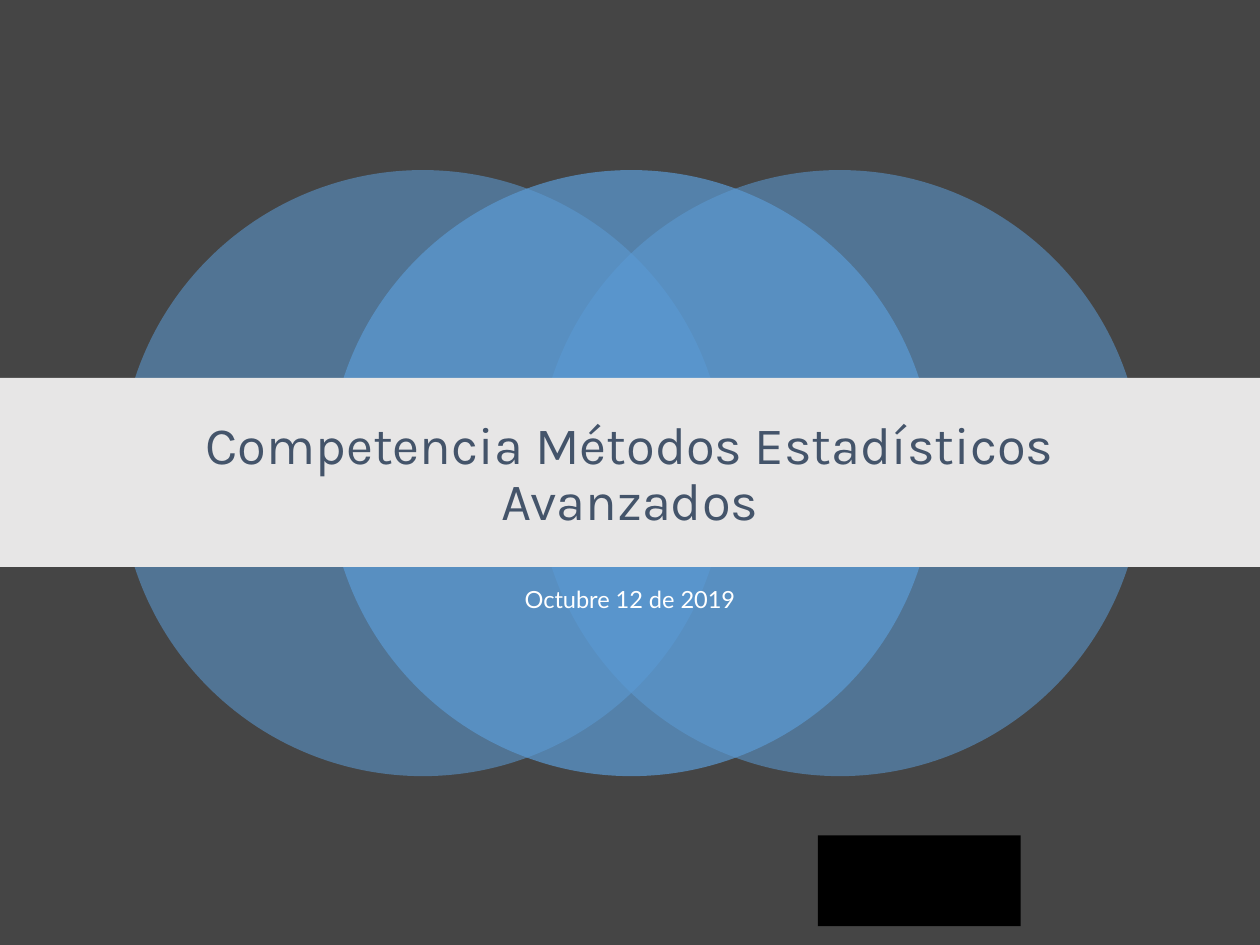
from pptx import Presentation
from pptx.dml.color import RGBColor
from pptx.enum.shapes import MSO_SHAPE
from pptx.enum.text import MSO_ANCHOR, PP_ALIGN
from pptx.oxml.ns import qn
from pptx.util import Inches, Pt
from lxml import etree


def color(value):
    return RGBColor.from_string(value)


def add_solid(slide, kind, left, top, width, height, fill, opacity=100):
    """Add a borderless shape; opacity is in percent."""
    shape = slide.shapes.add_shape(
        kind, Inches(left), Inches(top), Inches(width), Inches(height))
    shape.shadow.inherit = False
    shape.fill.solid()
    shape.fill.fore_color.rgb = color(fill)
    shape.line.fill.background()
    if opacity < 100:
        color_element = shape._element.spPr.find(".//" + qn("a:srgbClr"))
        etree.SubElement(color_element, qn("a:alpha"), val=str(opacity * 1000))
    return shape


def add_text(slide, left, top, width, height, text, font, size, fill,
             anchor=MSO_ANCHOR.TOP, space_before=0):
    box = slide.shapes.add_textbox(
        Inches(left), Inches(top), Inches(width), Inches(height))
    text_frame = box.text_frame
    text_frame.word_wrap = True
    text_frame.vertical_anchor = anchor
    text_frame.text = text
    paragraph = text_frame.paragraphs[0]
    paragraph.alignment = PP_ALIGN.CENTER
    paragraph.line_spacing = 0.9
    paragraph.space_before = Pt(space_before)
    run_font = paragraph.runs[0].font
    run_font.name = font
    run_font.size = Pt(size)
    run_font.color.rgb = color(fill)


def add_circles(slide, left, top, width, diameter):
    """Overlap three circles evenly across the width, the middle one in front."""
    step = (width - diameter) / 2
    for position, opacity in ((0, 55), (2, 55), (1, 70)):
        add_solid(slide, MSO_SHAPE.OVAL, left + position * step, top,
                  diameter, diameter, "5B9BD5", opacity)


def add_title_band(slide, left, top, width, height):
    margin = 1.25
    add_solid(slide, MSO_SHAPE.RECTANGLE, left, top, width, height, "E7E6E6")
    add_text(slide, left + margin, top + 0.21, width - 2 * margin, 1.13,
             "Competencia Métodos Estadísticos Avanzados",
             "Karla", 30, "44546A", anchor=MSO_ANCHOR.MIDDLE)


def main():
    presentation = Presentation()
    presentation.slide_width = Inches(10)
    presentation.slide_height = Inches(7.5)
    slide = presentation.slides.add_slide(presentation.slide_layouts[6])
    slide.background.fill.solid()
    slide.background.fill.fore_color.rgb = color("454545")

    add_solid(slide, MSO_SHAPE.RECTANGLE, 6.49, 6.63, 1.61, 0.72, "000000")
    add_circles(slide, 0.95, 1.35, 8.12, 4.81)
    add_text(slide, 1.25, 4.62, 7.5, 0.62, "Octubre 12 de 2019",
             "Lato", 13.5, "FFFFFF", space_before=10)
    add_title_band(slide, 0, 3, 10, 1.5)

    presentation.save("out.pptx")


if __name__ == "__main__":
    main()
